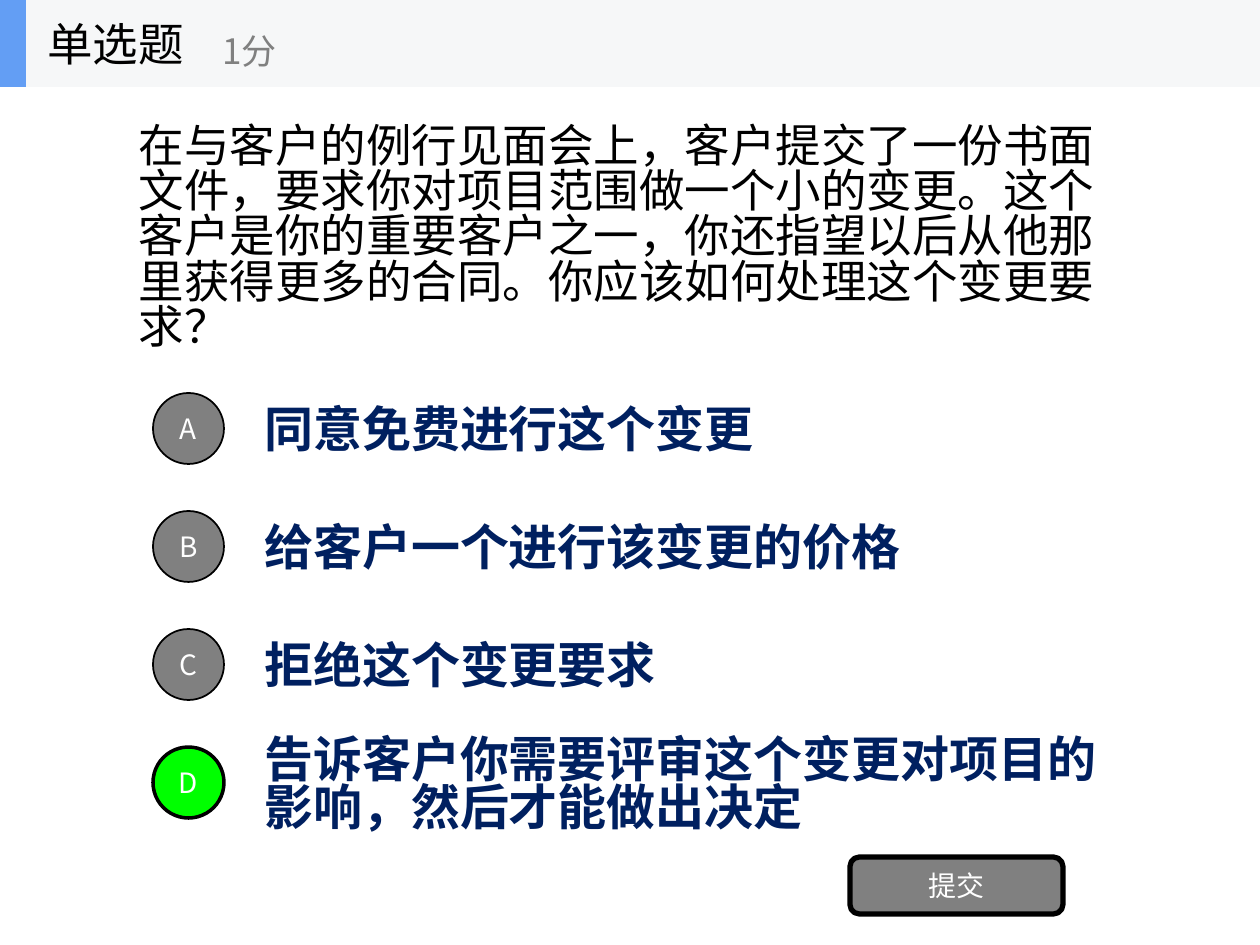
from lxml.etree import SubElement
from pptx import Presentation
from pptx.dml.color import RGBColor
from pptx.enum.shapes import MSO_SHAPE
from pptx.enum.text import MSO_ANCHOR, MSO_AUTO_SIZE, PP_ALIGN
from pptx.oxml.ns import qn
from pptx.util import Pt

SCALE = 914400 / 126
FACE = "Noto Sans CJK SC"
HUES = {
    "black": "000000", "white": "FFFFFF", "gray": "808080", "navy": "002060",
    "green": "00FF00", "band": "F6F7F8", "blue": "639EF4",
}
QUERY = (
    "在与客户的例行见面会上，客户提交了一份书面文件，要求你对项目范围做一个小的变更。"
    "这个客户是你的重要客户之一，你还指望以后从他那里获得更多的合同。"
    "你应该如何处理这个变更要求？"
)
CHOICES = [
    ("A", "同意免费进行这个变更"),
    ("B", "给客户一个进行该变更的价格"),
    ("C", "拒绝这个变更要求"),
    ("D", "告诉客户你需要评审这个变更对项目的影响，然后才能做出决定"),
]
RIGHT = "D"
STEP = 118


def px(num):
    return round(num * SCALE)


def apply(item, values):
    for name, value in values.items():
        setattr(item, name, value)


def color(name):
    return RGBColor.from_string(HUES[name])


def place(shape, box):
    names = ("left", "top", "width", "height")
    apply(shape, dict(zip(names, map(px, box))))


def write(shape, text, size, hue, bold=False, align=PP_ALIGN.LEFT, tight=False):
    frame = shape.text_frame
    apply(frame, {
        "word_wrap": True,
        "auto_size": MSO_AUTO_SIZE.NONE,
        "vertical_anchor": MSO_ANCHOR.MIDDLE,
    })
    para = frame.paragraphs[0]
    para.alignment = align
    if tight:
        para.line_spacing = 0.83
        frame.margin_top = px(16)
    run = para.add_run()
    run.text = text
    apply(run.font, {"name": FACE, "size": Pt(size), "bold": bold})
    run.font.color.rgb = color(hue)
    SubElement(run.font._element, qn("a:ea"), typeface=FACE)


def label(slide, box, *args, **style):
    shape = slide.shapes.add_textbox(*map(px, box))
    write(shape, *args, **style)


def block(slide, kind, box, fill, line=0, text=""):
    shape = slide.shapes.add_shape(kind, *map(px, box))
    shape.shadow.inherit = False
    shape.fill.solid()
    shape.fill.fore_color.rgb = color(fill)
    if line:
        shape.line.color.rgb = color("black")
        shape.line.width = Pt(line)
    else:
        shape.line.fill.background()
    if text:
        apply(shape.text_frame, {"margin_left": 0, "margin_right": 0})
        write(shape, text, 16, "white", align=PP_ALIGN.CENTER)


def choices(slide):
    for row, (mark, text) in enumerate(CHOICES):
        box = (252, 384 + row * STEP, 882, 88)
        label(slide, box, text, 28, "navy", bold=True, tight=len(text) > 17)
    for row, (mark, text) in enumerate(CHOICES):
        fill, line = ("green", 2) if mark == RIGHT else ("gray", 1)
        box = (153, 393 + row * STEP, 71, 71)
        block(slide, MSO_SHAPE.OVAL, box, fill, line, mark)


def header(slide):
    block(slide, MSO_SHAPE.RECTANGLE, (0, 0, 1260, 87), "band")
    block(slide, MSO_SHAPE.RECTANGLE, (0, 0, 26, 87), "blue")
    label(slide, (35, 0, 262, 87), "单选题", 26, "black")
    label(slide, (210, 15, 315, 71), "1分", 20, "gray")


def main():
    deck = Presentation()
    apply(deck, {"slide_width": px(1260), "slide_height": px(945)})
    slide = deck.slides.add_slide(deck.slide_layouts[5])
    title = slide.shapes.title
    place(title, (126, 87, 1008, 295))
    write(title, QUERY, 26, "black", tight=True)
    choices(slide)
    block(slide, MSO_SHAPE.ROUNDED_RECTANGLE, (850, 857, 213, 57), "gray", 3, "提交")
    header(slide)
    deck.save("out.pptx")


if __name__ == "__main__":
    main()
